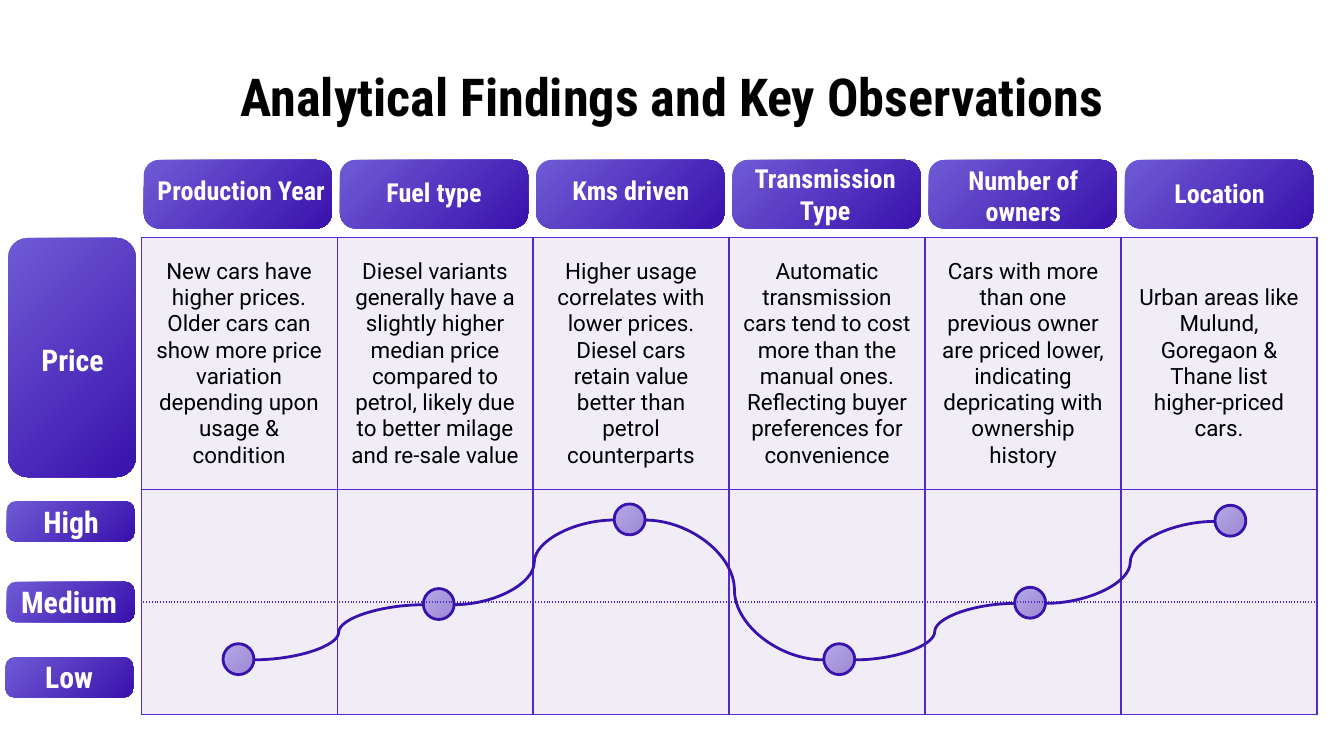
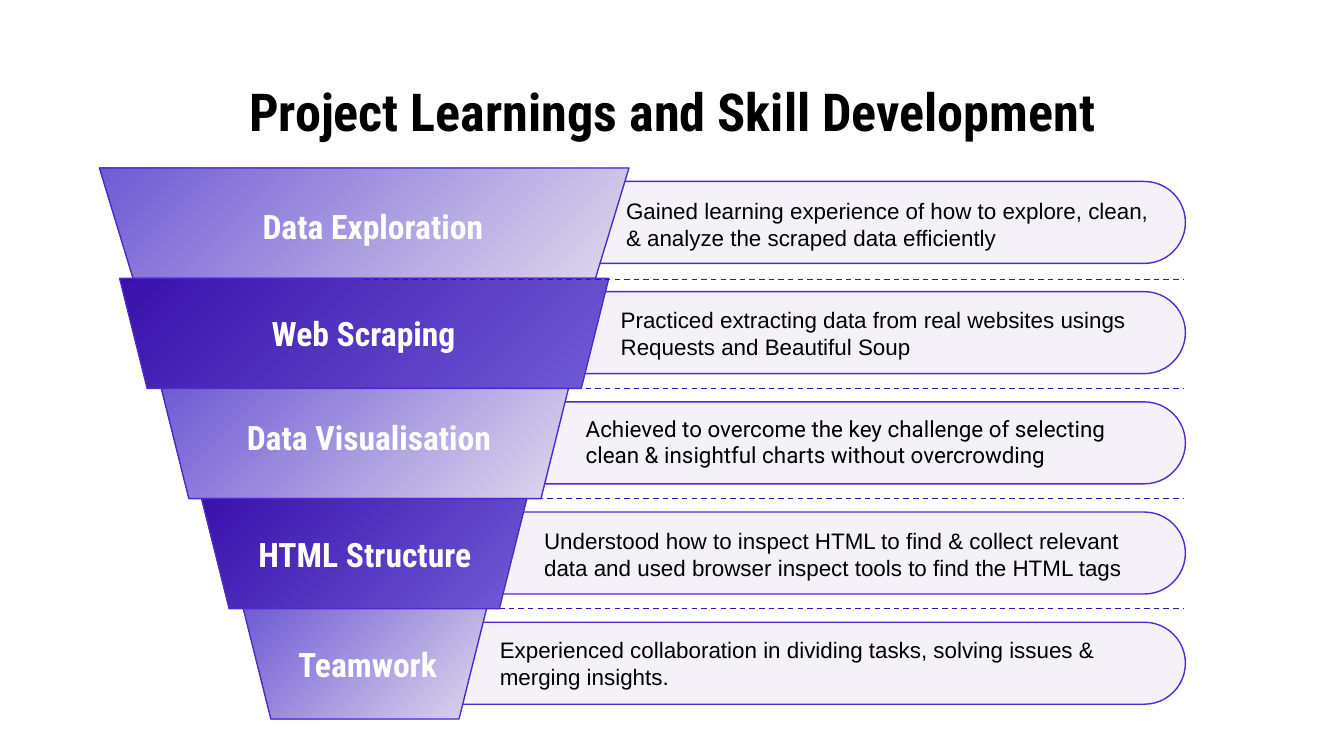
from dataclasses import dataclass
from itertools import pairwise
from typing import Any, NamedTuple

from pptx import Presentation
from pptx.dml.color import RGBColor as RGB
from pptx.enum.dml import MSO_LINE as Dash
from pptx.enum.shapes import MSO_CONNECTOR as Conn, MSO_SHAPE as Shape
from pptx.enum.text import MSO_ANCHOR as Anchor, PP_ALIGN as Align
from pptx.oxml.ns import qn
from pptx.oxml.xmlchemy import OxmlElement
from pptx.util import Pt

PX = 9144  # EMU per px, 100 px to the inch
SLIDE_W = 1000


@dataclass(frozen=True)
class Theme:
    ink: str = "000000"
    white: str = "FFFFFF"
    border: str = "5328CE"
    deep: str = "3911AC"
    violet: str = "6F5BD5"
    pale: str = "E0D8EC"
    head: str = "Roboto Condensed"
    body: str = "Roboto"
    plain: str = "Arial"
    title_pt: int = 28
    level_pt: int = 18
    side_pt: int = 16
    column_pt: int = 14
    body_pt: int = 12
    thin: float = 0.75
    thick: float = 1.5
    inset: int = 10


T = Theme()
MARGINS = {f"margin_{side}": T.inset * PX for side in ("left", "top", "right", "bottom")}


class Box(NamedTuple):
    x: int
    y: int
    w: int
    h: int

    def emu(self) -> list[int]:
        return [v * PX for v in self]


class Style(NamedTuple):
    size: int
    font: str = T.head
    color: str = T.white
    bold: bool = True
    align: Any = Align.CENTER
    anchor: Any = Anchor.TOP
    indent: int = 0


TITLE = Style(T.title_pt, color=T.ink)
COLUMN = Style(T.column_pt)
SIDE = Style(T.side_pt)
LEVEL = Style(T.level_pt)
CELL = Style(T.body_pt, T.body, T.ink, False, anchor=Anchor.MIDDLE)
NOTE = CELL._replace(font=T.plain, align=Align.LEFT, indent=10)


class Factor(NamedTuple):
    name: str
    label: Box
    finding: str
    node: tuple[int, int]


class Side(NamedTuple):
    name: str
    badge: Box
    label: Box
    radius: float = 0.227


class Level(NamedTuple):
    name: str
    label: Box
    note: str
    note_box: Box
    font: str = T.plain


FACTORS = [
    Factor("Production Year", Box(97, 120, 165, 51),
           "New cars have higher prices. Older cars can show more price variation "
           "depending upon usage & condition", (166, 479)),
    Factor("Fuel type", Box(269, 121, 108, 51),
           "Diesel variants generally have a slightly higher median price compared to "
           "petrol, likely due to better milage and re-sale value", (315, 438)),
    Factor("Kms driven", Box(408, 120, 123, 51),
           "Higher usage correlates with lower prices. Diesel cars retain value better "
           "than petrol counterparts", (457, 375)),
    Factor("Transmission Type", Box(544, 111, 140, 69),
           "Automatic transmission cars tend to cost more than the manual ones. "
           "Reflecting buyer preferences for convenience", (613, 479)),
    Factor("Number of owners", Box(695, 112, 133, 51),
           "Cars with more than one previous owner are priced lower, indicating "
           "depricating with ownership history", (755, 437)),
    Factor("Location", Box(841, 122, 133, 51),
           "Urban areas like Mulund, Goregaon & Thane list higher-priced cars.",
           (904, 376)),
]
SIDES = [
    Side("Price", Box(6, 177, 95, 178), Box(7, 244, 94, 56), 0.153),
    Side("High", Box(5, 373, 95, 30), Box(21, 365, 64, 51)),
    Side("Medium", Box(5, 433, 95, 30), Box(5, 424, 93, 51)),
    Side("Low", Box(4, 489, 95, 30), Box(18, 480, 67, 51)),
]
LEVELS = [
    Level("Data Exploration", Box(126, 143, 303, 51),
          "Gained learning experience of how to explore, clean, & analyze the scraped "
          "data efficiently", Box(446, 147, 433, 39)),
    Level("Web Scraping", Box(119, 223, 303, 51),
          "Practiced extracting data from real websites usings Requests and Beautiful "
          "Soup", Box(442, 228, 433, 39)),
    Level("Data Visualisation", Box(150, 300, 249, 51),
          "Achieved to overcome the key challenge of selecting clean & insightful "
          "charts without overcrowding", Box(416, 309, 447, 39), T.body),
    Level("HTML Structure", Box(167, 387, 209, 51),
          "Understood how to inspect HTML to find & collect relevant data and used "
          "browser inspect tools to find the HTML tags", Box(385, 374, 492, 77)),
    Level("Teamwork", Box(194, 469, 159, 51),
          "Experienced collaboration in dividing tasks, solving issues & merging "
          "insights.", Box(352, 474, 529, 39)),
]
TABLE, ROW_HEIGHTS = Box(105, 177, 875, 355), (187, 84, 84)
HEADER_STEP, NODE = 146, 23
FUNNEL_TOP, LEVEL_STEP, FUNNEL_MID = 125, 82, 271


# Formatting helpers
def put(obj: Any, values: dict[str, Any]) -> None:
    for name, value in values.items():
        setattr(obj, name, value)


def write(tf: Any, text: str, st: Style) -> None:
    p = tf.paragraphs[0]
    p.alignment = st.align
    if st.indent:
        pPr = p._p.get_or_add_pPr()
        pPr.set("marL", str(st.indent * PX))
        pPr.set("indent", "0")
    r = p.add_run()
    r.text = text
    put(r.font, {"name": st.font, "size": Pt(st.size), "bold": st.bold})
    r.font.color.rgb = RGB.from_string(st.color)


def set_alpha(props: Any, percent: int) -> None:
    for fill in props.findall(qn("a:solidFill")) + props.findall(qn("a:gradFill")):
        for clr in fill.iter(qn("a:srgbClr")):
            alpha = OxmlElement("a:alpha")
            alpha.set("val", str(percent * 1000))
            clr.append(alpha)


def set_line(line: Any, color: str, width: float, dash: Any = None) -> None:
    line.color.rgb = RGB.from_string(color)
    put(line, {"width": Pt(width), "dash_style": dash})


# Drawing helpers
def add_text(s: Any, box: Box, text: str, st: Style) -> None:
    tf = s.shapes.add_textbox(*box.emu()).text_frame
    put(tf, MARGINS | {"word_wrap": True, "vertical_anchor": st.anchor})
    write(tf, text, st)


def add_figure(s: Any, kind: Any, box: Box, colors: tuple[str, ...], alpha: int = 100,
               adj: float | None = None, line: tuple[str, float] | None = None,
               rotation: int = 0) -> None:
    sp = s.shapes.add_shape(kind, *box.emu())
    sp.shadow.inherit = False
    sp.rotation = rotation
    if adj is not None:
        sp.adjustments[0] = adj
    if len(colors) == 1:
        sp.fill.solid()
        sp.fill.fore_color.rgb = RGB.from_string(colors[0])
    else:
        sp.fill.gradient()
        sp.fill.gradient_angle = 315
        for stop, color, pos in zip(sp.fill.gradient_stops, colors, (0, 1)):
            stop.color.rgb = RGB.from_string(color)
            stop.position = pos
    if alpha < 100:
        set_alpha(sp.element.spPr, alpha)
    if line:
        set_line(sp.line, *line)
    else:
        sp.line.fill.background()


def add_line(s: Any, kind: Any, start: tuple[int, int], end: tuple[int, int],
             width: float, dash: Any = None) -> None:
    c = s.shapes.add_connector(kind, *(v * PX for v in start + end))
    set_line(c.line, T.deep, width, dash)
    c.element.spPr.append(OxmlElement("a:effectLst"))


def add_badge(s: Any, box: Box, radius: float) -> None:
    add_figure(s, Shape.ROUNDED_RECTANGLE, box, (T.violet, T.deep), adj=radius)


def add_border(tcPr: Any, side: str, dotted: bool) -> None:
    ln = OxmlElement(f"a:ln{side}")
    ln.set("w", str(Pt(T.thin)))
    fill, clr, dash = (OxmlElement(t) for t in ("a:solidFill", "a:srgbClr", "a:prstDash"))
    clr.set("val", T.border)
    dash.set("val", "dot" if dotted else "solid")
    fill.append(clr)
    ln.extend([fill, dash])
    tcPr.append(ln)


def add_findings_table(s: Any) -> None:
    tbl = s.shapes.add_table(len(ROW_HEIGHTS), len(FACTORS), *TABLE.emu()).table
    put(tbl, {"first_row": False, "horz_banding": False})
    for col in tbl.columns:
        col.width = TABLE.w * PX // len(FACTORS)
    for i, height in enumerate(ROW_HEIGHTS):
        tbl.rows[i].height = height * PX
        for j, factor in enumerate(FACTORS):
            cell = tbl.cell(i, j)
            put(cell, MARGINS | {"vertical_anchor": Anchor.MIDDLE})
            tcPr = cell._tc.get_or_add_tcPr()
            for side in "LRTB":
                add_border(tcPr, side, (i, side) in {(1, "B"), (2, "T")})
            cell.fill.solid()
            cell.fill.fore_color.rgb = RGB.from_string(T.pale)
            set_alpha(tcPr, 46)
            if i == 0:
                write(cell.text_frame, factor.finding, CELL)


# Slides
def add_slide(prs: Any, title: str, top: int) -> Any:
    s = prs.slides.add_slide(prs.slide_layouts[6])
    add_text(s, Box(50, top, 900, 63), title, TITLE)
    return s


def build_findings(prs: Any) -> None:
    s = add_slide(prs, "Analytical Findings and Key Observations", 38)
    add_findings_table(s)
    for side in SIDES:
        add_badge(s, side.badge, side.radius)
        add_text(s, side.label, side.name, SIDE)
    for i, factor in enumerate(FACTORS):
        add_badge(s, Box(107 + HEADER_STEP * i, 119, 140, 51), 0.227)
        add_text(s, factor.label, factor.name, COLUMN)

    # Price curve
    for factor in FACTORS:
        add_figure(s, Shape.OVAL, Box(*factor.node, NODE, NODE), (T.violet, T.deep),
                   alpha=46, line=(T.deep, T.thick))
    for a, b in pairwise(FACTORS):
        (ax, ay), (bx, by) = a.node, b.node
        add_line(s, Conn.CURVE, (ax + NODE, ay + 12), (bx, by + 12), T.thick)


def build_learnings(prs: Any) -> None:
    s = add_slide(prs, "Project Learnings and Skill Development", 49)
    tops = [FUNNEL_TOP + LEVEL_STEP * i for i in range(len(LEVELS))]
    widths = [394] + [364 - 61 * i for i in range(len(LEVELS) - 1)]
    outline = (T.border, T.thin)

    def add_divider(y: int) -> None:
        add_line(s, Conn.STRAIGHT, (FUNNEL_MID, y), (881, y), T.thin, Dash.DASH)

    # Pills and dividers behind the funnel
    for top in tops:
        add_figure(s, Shape.ROUNDED_RECTANGLE, Box(307, top + 10, 575, 61), (T.pale,),
                   alpha=34, adj=0.5, line=outline)
    for top in tops[2:]:
        add_divider(top)

    # Funnel, with the first divider over it
    for i, (top, w) in enumerate(zip(tops, widths)):
        colors = (T.violet, T.deep) if i % 2 else (T.pale, T.violet)
        add_figure(s, Shape.TRAPEZOID, Box(FUNNEL_MID - w // 2, top, w, LEVEL_STEP), colors,
                   adj=0.25 if i else 0.304, line=outline, rotation=180)
    add_divider(tops[1] + 1)
    for level in LEVELS:
        add_text(s, level.label, level.name, LEVEL)
        add_text(s, level.note_box, level.note, NOTE._replace(font=level.font))


def main() -> None:
    prs = Presentation()
    put(prs, {"slide_width": SLIDE_W * PX, "slide_height": SLIDE_W * PX * 9 // 16})
    build_findings(prs)
    build_learnings(prs)
    prs.save("out.pptx")


if __name__ == "__main__":
    main()
